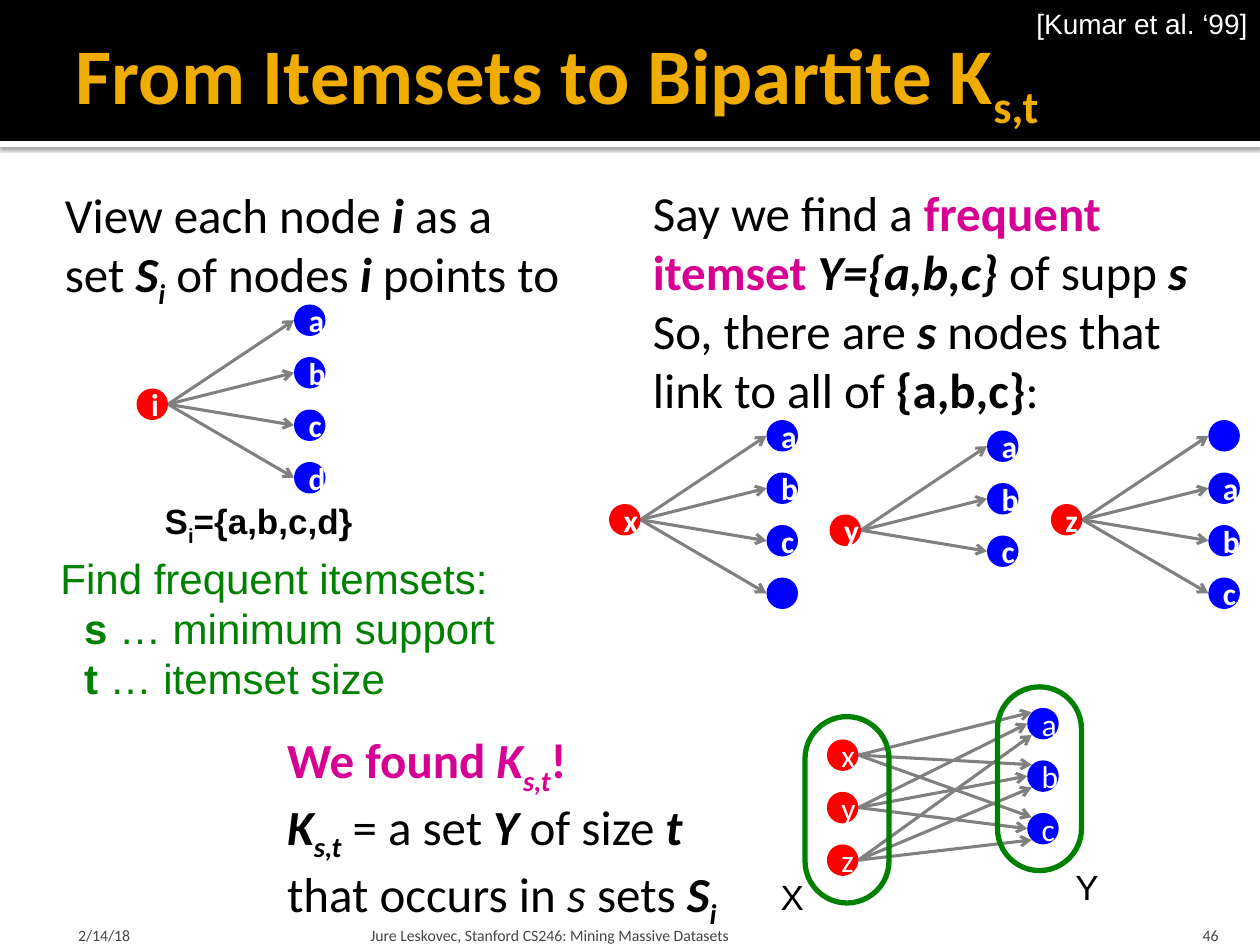
import pptx
import pptx.dml.color
import pptx.enum.shapes
import pptx.enum.text
import pptx.oxml
import pptx.oxml.ns
import pptx.util
from lxml import etree

Pt = pptx.util.Pt
SHAPE = pptx.enum.shapes.MSO_SHAPE
ALIGN = pptx.enum.text.PP_ALIGN
ANCHOR = pptx.enum.text.MSO_ANCHOR
qn = pptx.oxml.ns.qn

COLORS = {
    "black": "000000", "white": "FFFFFF", "gold": "F0AD00", "pink": "D60093",
    "green": "008000", "red": "FF0000", "blue": "0000FF", "grey": "808080",
    "footer": "454545",
}
NODE = 18    # node diameter
PITCH = 30   # distance between stacked nodes


def color(name):
    return pptx.dml.color.RGBColor.from_string(COLORS[name])


def add_spans(para, spans, size, font, default):
    """Each span is (text, style, colour); style holds b, i and _ (subscript)."""
    for text, style, *tint in spans:
        if text == "\n":
            para.add_line_break()
            continue
        span = para.add_run()
        span.text = text
        span.font.size = Pt(size)
        span.font.name = font
        span.font.bold = "b" in style
        span.font.italic = "i" in style
        span.font.color.rgb = color(tint[0] if tint else default)
        if "_" in style:
            span._r.get_or_add_rPr().set("baseline", "-25000")


def add_text(page, place, paragraphs, size, font="Calibri", tint="black",
             align=ALIGN.LEFT, wrap=False, anchor=ANCHOR.TOP, insets=None, indent=0):
    """Add a text box; paragraphs after the first are indented."""
    box = page.shapes.add_textbox(*map(Pt, place))
    frame = box.text_frame
    frame.word_wrap = wrap
    frame.vertical_anchor = anchor
    if insets:
        set_insets(frame, insets)
    for index, spans in enumerate(paragraphs):
        para = frame.add_paragraph() if index else frame.paragraphs[0]
        para.alignment = align
        if index and indent:
            para._p.get_or_add_pPr().set("marL", str(Pt(indent)))
        add_spans(para, spans, size, font, tint)


def set_insets(frame, insets):
    frame.margin_left, frame.margin_top, frame.margin_right, frame.margin_bottom = map(Pt, insets)


def add_figure(page, kind, place, fill=None):
    figure = page.shapes.add_shape(kind, *map(Pt, place))
    figure.shadow.inherit = False
    figure.line.fill.background()
    if fill:
        figure.fill.solid()
        figure.fill.fore_color.rgb = color(fill)
    else:
        figure.fill.background()
    return figure


def add_node(page, x, y, label, fill, style):
    node = add_figure(page, SHAPE.OVAL, (x, y, NODE, NODE), fill)
    node.text_frame.vertical_anchor = ANCHOR.MIDDLE
    if label:
        para = node.text_frame.paragraphs[0]
        para.alignment = ALIGN.CENTER
        add_spans(para, [(label, style)], 18, "Calibri", "white")


def add_arrow(page, x1, y1, x2, y2):
    arrow = page.shapes.add_connector(
        pptx.enum.shapes.MSO_CONNECTOR.STRAIGHT, Pt(x1), Pt(y1), Pt(x2), Pt(y2))
    arrow.line.color.rgb = color("grey")
    arrow.line.width = Pt(1.75)
    etree.SubElement(arrow.line._get_or_add_ln(), qn("a:tailEnd"), type="arrow")
    etree.SubElement(arrow._element.spPr, qn("a:effectLst"))


def add_fan(page, x, y, source, targets):
    """One red node that points to a column of blue nodes."""
    column, top = x + 90, y - 48
    heights = [top + PITCH * row for row in range(len(targets))]
    for height in heights:
        add_arrow(page, x + NODE, y + NODE / 2, column, height + NODE / 2)
    add_node(page, x, y, source, "red", "b")
    for target, height in zip(targets, heights):
        add_node(page, column, height, target, "blue", "b")


def add_bipartite(page):
    left, left_top, right, right_top = 472.5, 422.5, 587, 404.5
    arrow_ends = [(2.5, 2.5), (0, 9), (2.5, 15.5)]  # where each source meets a target
    for row, (dx, dy) in enumerate(arrow_ends):
        for target in range(3):
            add_arrow(page, left + NODE, left_top + PITCH * row + NODE / 2,
                      right + dx, right_top + PITCH * target + dy)
    for row in range(3):
        add_node(page, left, left_top + PITCH * row, "xyz"[row], "red", "")
        add_node(page, right, right_top + PITCH * row, "abc"[row], "blue", "")
    # Outlines of the two node sets
    for place in [(460, 409.5, 48, 106.5), (570, 392.5, 48, 105)]:
        outline = add_figure(page, SHAPE.ROUNDED_RECTANGLE, place)
        outline.adjustments[0] = 0.5
        outline.line.color.rgb = color("green")
        outline.line.width = Pt(3)
    for name, x, y in [("X", 439, 497), ("Y", 607.5, 491)]:
        add_text(page, (x, y, 28, 31.5), [[(name, "")]], 20, "Arial")


def add_header(page):
    strip = add_figure(page, SHAPE.RECTANGLE, (0, 80.5, 720, 3.5), "white")
    effects = strip._element.spPr.find(qn("a:effectLst"))
    shadow = etree.SubElement(effects, qn("a:outerShdw"), blurRad=str(Pt(2.5)),
                              dist=str(Pt(0.8)), dir="5400000", rotWithShape="0")
    tint = etree.SubElement(shadow, qn("a:srgbClr"), val=COLORS["black"])
    etree.SubElement(tint, qn("a:alpha"), val="60000")
    add_figure(page, SHAPE.RECTANGLE, (0, 0, 720, 80.5), "black")

    title = page.shapes.title
    page.shapes._spTree.append(title._element)  # bring in front of the band
    title.left, title.top, title.width, title.height = map(Pt, (36, 12.25, 648, 66))
    frame = title.text_frame
    frame.vertical_anchor = ANCHOR.MIDDLE
    frame.auto_size = pptx.enum.text.MSO_AUTO_SIZE.NONE
    set_insets(frame, (7.2, 3.6, 3.6, 3.6))
    frame.paragraphs[0].alignment = ALIGN.LEFT
    add_spans(frame.paragraphs[0], [("From Itemsets to Bipartite K", "b"), ("s,t", "b_")],
              45, "Calibri", "gold")
    add_text(page, (583, 0, 137, 26.5), [[("[Kumar et al. ‘99]", "")]], 16, "Arial",
             "white", ALIGN.RIGHT)


def add_statements(page):
    add_text(page, (30, 102, 299.5, 75), [[
        ("View each node ", ""), ("i", "bi"), (" as a ", ""), ("\n", ""), ("set ", ""),
        ("S", "bi"), ("i", "bi_"), (" of nodes ", ""), ("i", "bi"), (" points to", "")]], 28)
    add_text(page, (366, 101, 343, 143), [[
        ("Say we find a ", ""), ("frequent itemset ", "b", "pink"), ("Y={a,b,c}", "bi"),
        (" of supp ", ""), ("s", "bi"), ("\n", ""), ("So, there are ", ""), ("s", "bi"),
        (" nodes that link to all of ", ""), ("{a,b,c}", "b"), (":", "")]], 28, wrap=True)
    add_text(page, (87, 282, 123, 31.5), [[("S", "b"), ("i", "b_"), ("={a,b,c,d}", "b")]],
             20, "Arial")
    add_text(page, (27.5, 312, 263.5, 94.5), [
        [("Find frequent itemsets:", "")],
        [("s", "b"), (" … minimum support", "")],
        [("t", "b"), (" … itemset size", "")]], 24, "Arial", "green", indent=13.5)
    add_text(page, (157, 413.5, 263, 108.5), [
        [("We found ", "b", "pink"), ("K", "bi", "pink"), ("s,t", "bi_", "pink"),
         ("!", "b", "pink")],
        [("K", "bi"), ("s,t", "bi_"), (" = a set ", ""), ("Y", "bi"), (" of size ", ""),
         ("t ", "bi"), ("\n", ""), ("that occurs in ", ""), ("s", "i"), (" sets ", ""),
         ("S", "bi"), ("i", "bi_")]], 28)


def add_footer(page):
    footers = [
        ("2/14/18", 36, 168, 8.64, 3.6, ALIGN.LEFT),
        ("Jure Leskovec, Stanford CS246: Mining Massive Datasets", 208, 433.5, 3.6, 3.6,
         ALIGN.LEFT),
        ("46", 646, 57.5, 7.2, 7.2, ALIGN.RIGHT),
    ]
    for text, x, width, left, right, align in footers:
        add_text(page, (x, 518.4, width, 21.6), [[(text, "")]], 9, tint="footer", align=align,
                 wrap=True, anchor=ANCHOR.BOTTOM, insets=(left, 3.6, right, 0))


def main():
    deck = pptx.Presentation()
    deck.slide_width, deck.slide_height = Pt(720), Pt(540)
    page = deck.slides.add_slide(deck.slide_layouts[5])  # title only
    add_header(page)
    # Nodes with the sets they point to; an empty label is an unnamed node
    add_fan(page, 78, 222, "i", ["a", "b", "c", "d"])
    add_fan(page, 348, 288, "x", ["a", "b", "c", ""])
    add_fan(page, 474, 294, "y", ["a", "b", "c"])
    add_fan(page, 600.5, 288, "z", ["", "a", "b", "c"])
    add_bipartite(page)
    add_statements(page)
    add_footer(page)
    deck.save("out.pptx")


if __name__ == "__main__":
    main()
